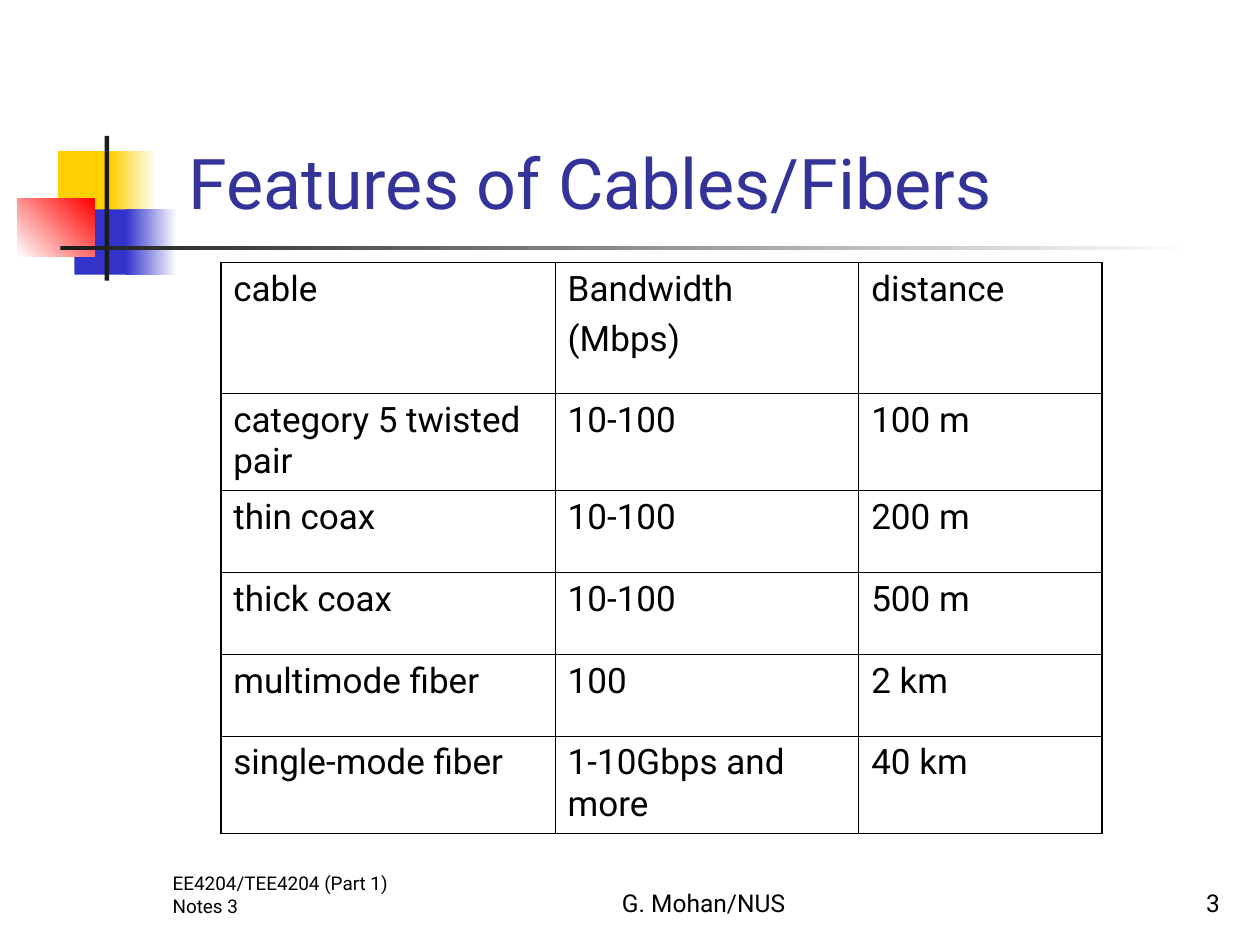
"""Build the cable and fiber features slide."""
from typing import NamedTuple, Optional

from lxml.etree import SubElement
from pptx import Presentation
from pptx.dml.color import RGBColor
from pptx.enum.shapes import MSO_SHAPE
from pptx.enum.text import MSO_ANCHOR, PP_ALIGN
from pptx.oxml.ns import qn
from pptx.util import Cm, Pt

FONT = "Roboto"
BLACK = RGBColor(0x00, 0x00, 0x00)
WHITE = RGBColor(0xFF, 0xFF, 0xFF)
CHARCOAL = RGBColor(0x1C, 0x1C, 0x1C)
YELLOW = RGBColor(0xFF, 0xCF, 0x01)
BLUE = RGBColor(0x33, 0x33, 0xCC)
RED = RGBColor(0xFF, 0x00, 0x00)
INDIGO = RGBColor(0x33, 0x33, 0x99)

INNER, OUTER = Pt(0.45), Pt(1.08)
COL_WIDTHS = (6.74, 6.12, 4.91)
ROW_HEIGHTS = (2.64, 1.96, 1.65, 1.65, 1.65, 1.96)
CABLES = (
    ("cable", "Bandwidth\n(Mbps)", "distance"),
    ("category 5 twisted pair", "10-100", "100 m"),
    ("thin coax", "10-100", "200 m"),
    ("thick coax", "10-100", "500 m"),
    ("multimode fiber", "100", "2 km"),
    ("single-mode fiber", "1-10Gbps and more", "40 km"),
)


class Block(NamedTuple):
    left: float
    top: float
    width: float
    height: float
    color: RGBColor
    end: Optional[RGBColor] = None
    angle: float = 0


class Footer(NamedTuple):
    left: float
    width: float
    text: str
    size: float
    align: PP_ALIGN


BLOCKS = (
    Block(1.17, 3.05, 1.22, 1.32, YELLOW),
    Block(2.24, 3.05, 0.91, 1.32, YELLOW, WHITE),
    Block(1.5, 4.22, 1.17, 1.32, BLUE),
    Block(2.54, 4.22, 1.02, 1.32, BLUE, WHITE),
    Block(0.35, 4.01, 1.55, 1.17, WHITE, RED, 45),
    Block(2.11, 2.74, 0.09, 2.92, CHARCOAL),
    Block(1.22, 4.95, 22.86, 0.09, CHARCOAL, WHITE),
)
FOOTERS = (
    Footer(3.23, 5.28, "EE4204/TEE4204 (Part 1) Notes 3", 10.8, PP_ALIGN.LEFT),
    Footer(10.16, 8.05, "G. Mohan/NUS", 14, PP_ALIGN.CENTER),
    Footer(19.56, 5.28, "3", 14, PP_ALIGN.RIGHT),
)


def style_text(tf, size: float, color: RGBColor = BLACK, align=PP_ALIGN.LEFT) -> None:
    for p in tf.paragraphs:
        p.alignment = align
        for r in p.runs:
            r.font.name = FONT
            r.font.size = Pt(size)
            r.font.color.rgb = color


def add_block(s, block: Block) -> None:
    sp = s.shapes.add_shape(MSO_SHAPE.RECTANGLE, Cm(block.left), Cm(block.top),
                            Cm(block.width), Cm(block.height))
    sp.shadow.inherit = False
    sp.line.fill.background()
    if block.end is None:
        sp.fill.solid()
        sp.fill.fore_color.rgb = block.color
        return
    sp.fill.gradient()
    sp.fill.gradient_angle = block.angle
    for stop, color in zip(sp.fill.gradient_stops, (block.color, block.end)):
        stop.color.rgb = color


def add_footer(s, footer: Footer) -> None:
    sp = s.shapes.add_textbox(Cm(footer.left), Cm(17.35), Cm(footer.width), Cm(1.27))
    tf = sp.text_frame
    tf.word_wrap = True
    tf.vertical_anchor = MSO_ANCHOR.BOTTOM
    tf.text = footer.text
    style_text(tf, footer.size, align=footer.align)


def set_title(s, text: str) -> None:
    sp = s.shapes.title
    sp.left, sp.top, sp.width, sp.height = Cm(3.2), Cm(0.58), Cm(21.64), Cm(4.06)
    tf = sp.text_frame
    tf.text = text
    tf.vertical_anchor = MSO_ANCHOR.BOTTOM
    tf.margin_left = Cm(0.6)
    style_text(tf, 40, INDIGO)


def set_borders(cell, widths: dict) -> None:
    tcPr = cell._tc.get_or_add_tcPr()
    for i, (side, width) in enumerate(widths.items()):
        ln = SubElement(tcPr, qn(f"a:ln{side}"), w=str(width))
        fill = SubElement(ln, qn("a:solidFill"))
        SubElement(fill, qn("a:srgbClr"), val=str(BLACK))
        tcPr.insert(i, ln)


def add_cable_table(s) -> None:
    rows, cols = len(CABLES), len(COL_WIDTHS)
    table = s.shapes.add_table(rows, cols, Cm(4.45), Cm(5.29),
                               Cm(sum(COL_WIDTHS)), Cm(sum(ROW_HEIGHTS))).table
    table.first_row = table.horz_banding = False
    for col, width in zip(table.columns, COL_WIDTHS):
        col.width = Cm(width)
    for r, (row, height) in enumerate(zip(table.rows, ROW_HEIGHTS)):
        row.height = Cm(height)
        for c, cell in enumerate(row.cells):
            cell.text_frame.text = CABLES[r][c]
            style_text(cell.text_frame, 20)
            for p in cell.text_frame.paragraphs[1:]:
                p.space_before = Pt(5)
            cell.fill.background()
            set_borders(cell, {
                "L": OUTER if c == 0 else INNER,
                "R": OUTER if c == cols - 1 else INNER,
                "T": OUTER if r == 0 else INNER,
                "B": OUTER if r == rows - 1 else INNER,
            })


def main() -> None:
    prs = Presentation()
    prs.slide_width, prs.slide_height = Cm(25.4), Cm(19.05)
    s = prs.slides.add_slide(prs.slide_layouts[5])
    for block in BLOCKS:
        add_block(s, block)
    for footer in FOOTERS:
        add_footer(s, footer)
    set_title(s, "Features of Cables/Fibers")
    add_cable_table(s)
    prs.save("out.pptx")


if __name__ == "__main__":
    main()
